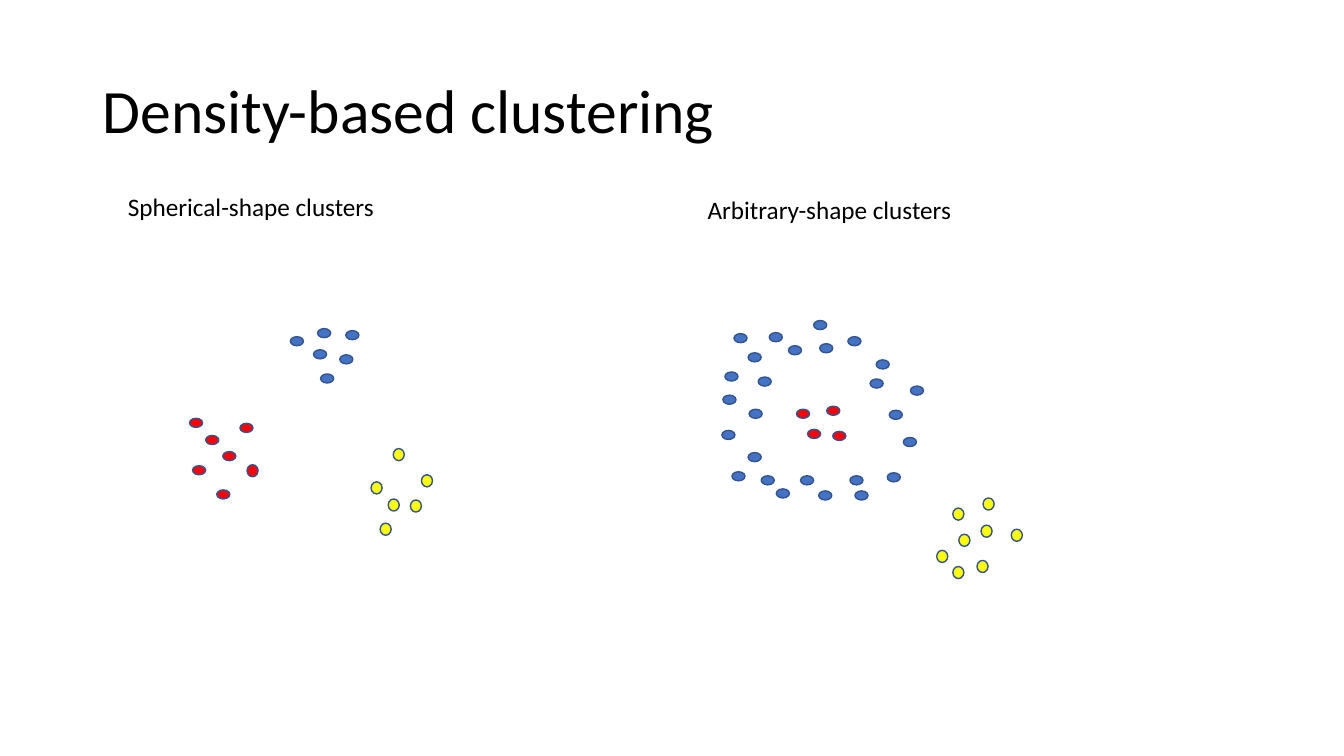
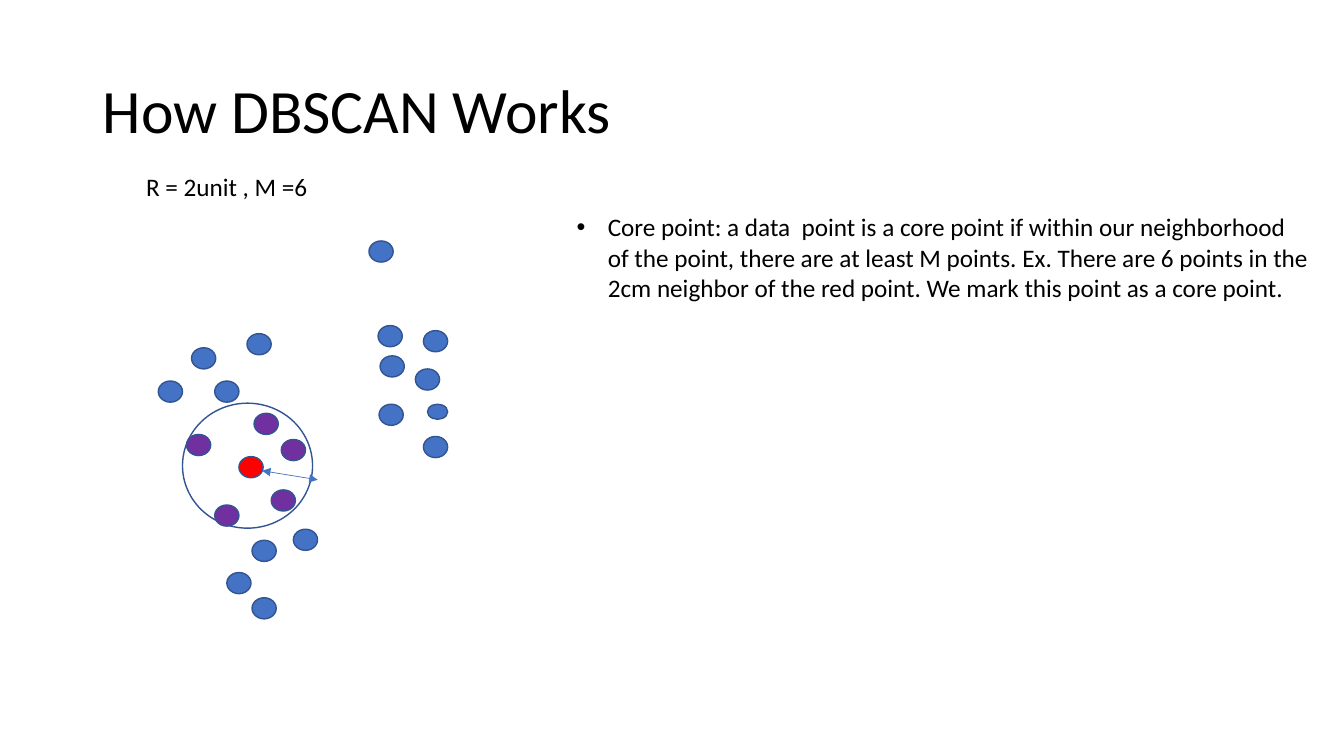
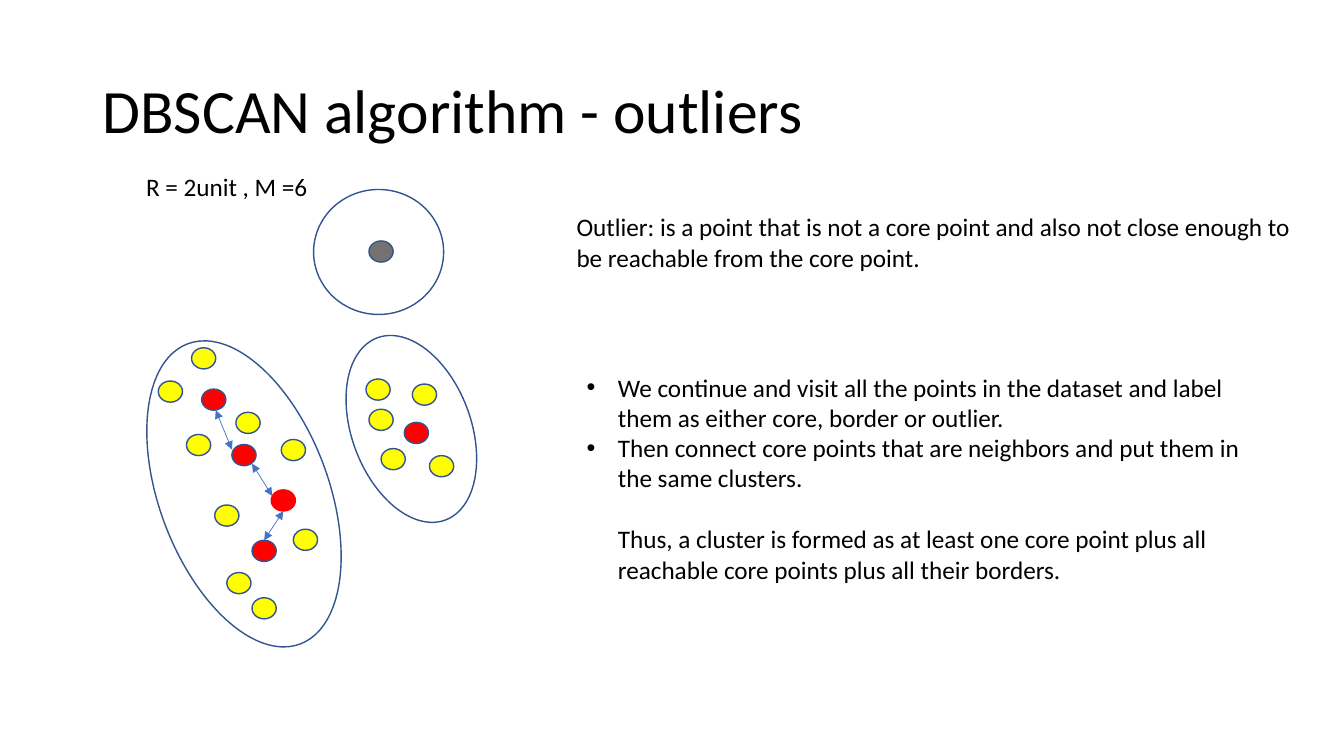
import pptx
import pptx.dml.color
import pptx.enum.shapes
import pptx.enum.text
import pptx.oxml
import pptx.oxml.ns
import pptx.util
import lxml.etree

Inches = pptx.util.Inches
Pt = pptx.util.Pt
COLORS = {
    "text": "000000", "white": "FFFFFF", "outline": "325491", "blue": "4472C4",
    "red": "FF0000", "yellow": "FFFF00", "purple": "7030A0", "gray": "767171",
}
FONT = "Calibri"
INDENT = 0.31
WIDE_DOT = (0.13, 0.09)
TALL_DOT = (0.11, 0.12)
POINT = (0.24, 0.21)
NEIGHBORHOOD = (1.29, 1.24)


def add_text(slide, place, paragraphs, size=18, wrap=True):
    """Add a text box; each paragraph is a (style, text) pair."""
    box = slide.shapes.add_textbox(*[Inches(length) for length in place])
    frame = box.text_frame
    frame.word_wrap = wrap
    for index, (style, text) in enumerate(paragraphs):
        paragraph = frame.paragraphs[0] if index == 0 else frame.add_paragraph()
        run = paragraph.add_run()
        run.text = text
        run.font.name = FONT
        run.font.size = Pt(size)
        run.font.color.rgb = pptx.dml.color.RGBColor.from_string(COLORS["text"])
        if style == "title":
            paragraph.line_spacing = 0.9
            frame.vertical_anchor = pptx.enum.text.MSO_ANCHOR.MIDDLE
        elif style == "conclusion":
            paragraph.space_before = Pt(22)
        if style in ("bullet", "conclusion"):
            properties = paragraph._p.get_or_add_pPr()
            properties.set("marL", str(Inches(INDENT)))
        if style == "bullet":
            properties.set("indent", str(-Inches(INDENT)))
            for tag, name, value in (("a:buFont", "typeface", "Arial"), ("a:buChar", "char", "•")):
                bullet = lxml.etree.SubElement(properties, pptx.oxml.ns.qn(tag))
                bullet.set(name, value)


def add_ellipses(slide, fill, size, corners, outline="outline", rotation=0):
    """Add equal ellipses, one at each (left, top) corner."""
    for left, top in corners:
        ellipse = slide.shapes.add_shape(
            pptx.enum.shapes.MSO_SHAPE.OVAL,
            Inches(left), Inches(top), Inches(size[0]), Inches(size[1]))
        ellipse.shadow.inherit = False
        ellipse.rotation = rotation
        ellipse.fill.solid()
        ellipse.fill.fore_color.rgb = pptx.dml.color.RGBColor.from_string(COLORS[fill])
        ellipse.line.color.rgb = pptx.dml.color.RGBColor.from_string(COLORS[outline])
        ellipse.line.width = Pt(1)


presentation = pptx.Presentation()
presentation.slide_width = Inches(13.33)
presentation.slide_height = Inches(7.5)

slides = []
for title in ("Density-based clustering", "How DBSCAN Works", "DBSCAN algorithm - outliers"):
    slide = presentation.slides.add_slide(presentation.slide_layouts[6])
    add_text(slide, (0.92, 0.4, 11.5, 1.45), [("title", title)], size=44)
    slides.append(slide)
shapes_slide, core_slide, outlier_slide = slides

# Slide 1: spherical and arbitrary clusters
add_text(shapes_slide, (1.17, 1.85, 5.25, 0.4), [("plain", "Spherical-shape clusters")])
add_text(shapes_slide, (6.92, 1.88, 5.25, 0.4), [("plain", "Arbitrary-shape clusters")])
spherical_blue = [(3.15, 3.26), (3.11, 3.47), (3.43, 3.28), (3.37, 3.52), (2.88, 3.34), (3.18, 3.71)]
spherical_red = [(1.88, 4.15), (2.04, 4.32), (2.21, 4.48), (1.91, 4.62), (2.15, 4.86), (2.38, 4.2)]
spherical_yellow = [(3.68, 4.78), (3.85, 4.95), (4.18, 4.71), (3.77, 5.19), (4.07, 4.96), (3.9, 4.45)]
ring_blue = [
    (7.42, 3.5), (7.63, 3.3), (8.07, 3.18), (7.82, 3.43), (8.13, 3.41), (8.41, 3.34),
    (8.69, 3.57), (9.03, 3.83), (8.82, 4.07), (8.96, 4.34), (8.8, 4.69), (7.52, 3.74),
    (7.19, 3.69), (7.17, 3.92), (7.7, 4.85), (8.12, 4.87), (8.48, 4.87), (7.43, 4.06),
    (7.42, 4.49), (8.43, 4.72), (7.94, 4.72), (7.55, 4.72), (7.28, 3.31), (7.26, 4.68),
    (7.16, 4.27), (8.63, 3.76),
]
center_red = [(8.2, 4.03), (7.9, 4.06), (8.01, 4.26), (8.26, 4.28)]
corner_yellow = [
    (9.29, 5.46), (9.45, 5.62), (9.51, 5.3), (9.69, 5.56),
    (9.45, 5.04), (9.75, 4.94), (10.03, 5.25), (9.73, 5.21),
]
add_ellipses(shapes_slide, "blue", WIDE_DOT, spherical_blue + ring_blue)
add_ellipses(shapes_slide, "red", WIDE_DOT, spherical_red + center_red)
add_ellipses(shapes_slide, "red", TALL_DOT, [(2.45, 4.61)])
add_ellipses(shapes_slide, "yellow", TALL_DOT, spherical_yellow + corner_yellow)

# Slides 2 and 3: shared parameters
for slide in (core_slide, outlier_slide):
    add_text(slide, (1.35, 1.65, 1.82, 0.4), [("plain", "R = 2unit , M =6")], wrap=False)

# Slide 2: core point and its neighborhood
add_ellipses(core_slide, "white", NEIGHBORHOOD, [(1.81, 4)])
add_ellipses(core_slide, "red", POINT, [(2.37, 4.53)])
add_ellipses(core_slide, "purple", POINT, [
    (1.85, 4.31), (2.69, 4.86), (2.13, 5.01), (2.52, 4.1), (2.79, 4.36)])
add_ellipses(core_slide, "blue", POINT, [
    (2.5, 5.93), (2.25, 5.68), (2.5, 5.36), (2.91, 5.25), (2.13, 3.78), (1.57, 3.78),
    (1.9, 3.45), (2.45, 3.31), (4.12, 3.66), (3.76, 4.01), (4.2, 4.33), (4.2, 3.28),
    (3.77, 3.53), (3.75, 3.23), (3.66, 2.39)])
add_ellipses(core_slide, "blue", (0.2, 0.15), [(4.24, 4.01)])
add_text(core_slide, (5.62, 2.05, 7.46, 1.31), [
    ("bullet", "Core point: a data  point is a core point if within our neighborhood of the point, "
               "there are at least M points. Ex. There are 6 points in the 2cm neighbor of the "
               "red point. We mark this point as a core point.")])

# Slide 3: clusters and the outlier
add_ellipses(outlier_slide, "white", (1.18, 1.93), [(3.49, 3.29)], rotation=339.5)
add_ellipses(outlier_slide, "white", (1.68, 3.18), [(1.58, 3.31)], rotation=339.5)
add_ellipses(outlier_slide, "white", NEIGHBORHOOD, [(3.11, 1.88)])
add_ellipses(outlier_slide, "gray", POINT, [(3.66, 2.39)])
add_ellipses(outlier_slide, "red", POINT, [(2.3, 4.41), (2.5, 5.36), (2, 3.86), (4.01, 4.19)])
add_ellipses(outlier_slide, "red", POINT, [(2.69, 4.86)], outline="red")
add_ellipses(outlier_slide, "yellow", POINT, [
    (1.85, 4.31), (2.13, 5.01), (2.5, 5.93), (2.25, 5.68), (2.91, 5.25), (2.34, 4.09),
    (1.57, 3.78), (1.9, 3.45), (2.79, 4.36), (3.78, 4.45), (4.26, 4.52), (4.09, 3.81),
    (3.66, 4.06), (3.63, 3.76)])
add_text(outlier_slide, (5.62, 2.05, 7.46, 0.71), [
    ("plain", "Outlier: is a point that is not a core point and also not close enough to be "
              "reachable from the core point.")])
add_text(outlier_slide, (5.72, 3.64, 7, 2.22), [
    ("bullet", "We continue and visit all the points in the dataset and label them as either "
               "core, border or outlier."),
    ("bullet", "Then connect core points that are neighbors and put them in the same clusters."),
    ("conclusion", "Thus, a cluster is formed as at least one core point plus all reachable "
                   "core points plus all their borders.")])

# Double arrows: the radius on slide 2, links between core points on slide 3
for slide, start, end in (
    (core_slide, (2.6, 4.67), (3.15, 4.76)),
    (outlier_slide, (2.81, 5.07), (2.62, 5.36)),
    (outlier_slide, (2.5, 4.6), (2.7, 4.92)),
    (outlier_slide, (2.14, 4.07), (2.3, 4.46)),
):
    arrow = slide.shapes.add_connector(
        pptx.enum.shapes.MSO_CONNECTOR.STRAIGHT, *[Inches(length) for length in start + end])
    arrow.line.color.rgb = pptx.dml.color.RGBColor.from_string(COLORS["blue"])
    arrow.line.width = Pt(0.5)
    line = arrow.line._get_or_add_ln()
    for tag in ("a:headEnd", "a:tailEnd"):
        lxml.etree.SubElement(line, pptx.oxml.ns.qn(tag)).set("type", "triangle")
    lxml.etree.SubElement(arrow._element.spPr, pptx.oxml.ns.qn("a:effectLst"))

presentation.save("out.pptx")
